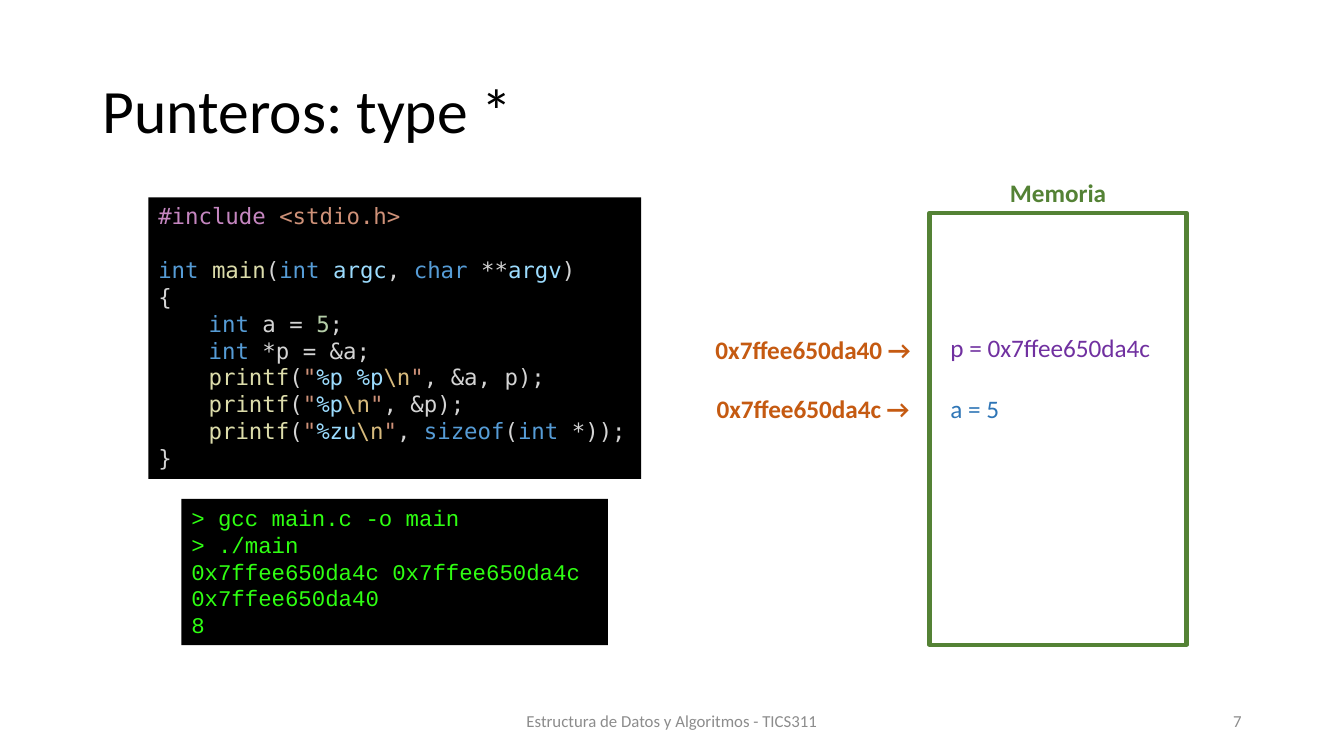
from pptx import Presentation
from pptx.dml.color import RGBColor
from pptx.enum.shapes import MSO_SHAPE
from pptx.enum.text import MSO_ANCHOR, PP_ALIGN
from pptx.util import Pt

TITLE = "Punteros: type *"
FOOTER = "Estructura de Datos y Algoritmos - TICS311"
PAGE_NUMBER = "7"

SYNTAX = {
    "directive": "C586C0", "string": "CE9178", "keyword": "569CD6",
    "function": "DCDCAA", "variable": "9CDCFE", "number": "B5CEA8",
    "escape": "D7BA7D", "plain": "D4D4D4",
}


def printf_line(pattern, *arguments):
    return [("function", "printf"), ("plain", "("), ("string", '"'),
            ("variable", pattern), ("escape", "\\n"), ("string", '"'), *arguments]


HEADER = [("directive", "#include "), ("string", "<stdio.h>")]
SIGNATURE = [("keyword", "int "), ("function", "main"), ("plain", "("),
             ("keyword", "int "), ("variable", "argc"), ("plain", ", "),
             ("keyword", "char"), ("plain", " **"), ("variable", "argv"), ("plain", ")")]
BODY = [
    [("keyword", "int"), ("plain", " a = "), ("number", "5"), ("plain", ";")],
    [("keyword", "int"), ("plain", " *p = &a;")],
    printf_line("%p %p", ("plain", ", &a, p);")),
    printf_line("%p", ("plain", ", &p);")),
    printf_line("%zu", ("plain", ", "), ("keyword", "sizeof"), ("plain", "("),
                ("keyword", "int"), ("plain", " *));")),
]
CODE = [HEADER, SIGNATURE, [("plain", "{")], *BODY, [("plain", "}")]]

CONSOLE = ["> gcc main.c -o main", "> ./main", "0x7ffee650da4c 0x7ffee650da4c",
           "0x7ffee650da40", "8"]

LABELS = [
    ("Memoria", 714.3, 123.3, 83.4, "548235", True),
    ("p = 0x7ffee650da4c", 671.8, 233.6, 159, "7030A0", False),
    ("a = 5", 671.8, 277.2, 49.6, "2E75B6", False),
    ("0x7ffee650da40 →", 504, 235.3, 156.2, "C55A11", True),
    ("0x7ffee650da4c →", 504.7, 277.2, 154.8, "C55A11", True),
]
LABEL_HEIGHT = 29.1
CODE_LINE = 19.2
CODE_INDENT = 36


def color(hex_value):
    return RGBColor.from_string(hex_value)


def style(font, name, size, hex_value, bold=False):
    font.name = name
    font.size = Pt(size)
    font.bold = bold
    font.color.rgb = color(hex_value)


def add_box(left, top, width, height, fill, outline=None):
    box = slide.shapes.add_shape(MSO_SHAPE.RECTANGLE, Pt(left), Pt(top), Pt(width), Pt(height))
    box.shadow.inherit = False
    box.fill.solid()
    box.fill.fore_color.rgb = color(fill)
    if outline:
        box.line.color.rgb = color(outline)
        box.line.width = Pt(3)
    else:
        box.line.fill.background()
    box.text_frame.vertical_anchor = MSO_ANCHOR.TOP
    return box.text_frame


def add_label(text, left, top, width, height, size, hex_value, bold=False,
              align=PP_ALIGN.LEFT, wrap=False, anchor=MSO_ANCHOR.TOP):
    frame = slide.shapes.add_textbox(Pt(left), Pt(top), Pt(width), Pt(height)).text_frame
    frame.word_wrap = wrap
    frame.vertical_anchor = anchor
    paragraph = frame.paragraphs[0]
    paragraph.text = text
    paragraph.alignment = align
    style(paragraph.font, "Calibri", size, hex_value, bold)


def add_lines(frame, count):
    while len(frame.paragraphs) < count:
        frame.add_paragraph()
    for paragraph in frame.paragraphs:
        paragraph.alignment = PP_ALIGN.LEFT
    return frame.paragraphs


presentation = Presentation()
presentation.slide_width = Pt(960)
presentation.slide_height = Pt(540)
slide = presentation.slides.add_slide(presentation.slide_layouts[5])

title = slide.shapes.title
title.left, title.top, title.width, title.height = Pt(66), Pt(28.8), Pt(828), Pt(104.4)
title.text_frame.vertical_anchor = MSO_ANCHOR.MIDDLE
heading = title.text_frame.paragraphs[0]
heading.text = TITLE
heading.alignment = PP_ALIGN.LEFT
heading.line_spacing = 0.9
style(heading.font, "Calibri", 44, "000000")

for text, left, width, align in [(FOOTER, 318, 324, PP_ALIGN.CENTER),
                                 (PAGE_NUMBER, 678, 216, PP_ALIGN.RIGHT)]:
    add_label(text, left, 500.5, width, 28.8, 12, "8C8C8C",
              align=align, wrap=True, anchor=MSO_ANCHOR.MIDDLE)

code_frame = add_box(106, 141, 352, 201, "000000")
code_frame.word_wrap = False
for paragraph, tokens in zip(add_lines(code_frame, len(CODE)), CODE):
    style(paragraph.font, "DejaVu Sans Mono", 16, SYNTAX["plain"])
    if tokens is SIGNATURE:
        paragraph.space_before = Pt(CODE_LINE)
    if tokens in BODY:
        properties = paragraph._p.get_or_add_pPr()
        properties.set("marL", str(Pt(CODE_INDENT)))
        properties.set("indent", "0")
    for kind, text in tokens:
        run = paragraph.add_run()
        run.text = text
        style(run.font, "DejaVu Sans Mono", 16, SYNTAX[kind])

add_box(664, 152, 183.5, 308.5, "FFFFFF", "548235")
for text, left, top, width, hex_value, bold in LABELS:
    add_label(text, left, top, width, LABEL_HEIGHT, 18, hex_value, bold)

console_frame = add_box(129.6, 356.4, 304.6, 104.4, "000000")
console_frame.word_wrap = True
for paragraph, text in zip(add_lines(console_frame, len(CONSOLE)), CONSOLE):
    paragraph.text = text
    style(paragraph.font, "Courier New", 16, "2FFF12")

presentation.save("out.pptx")
